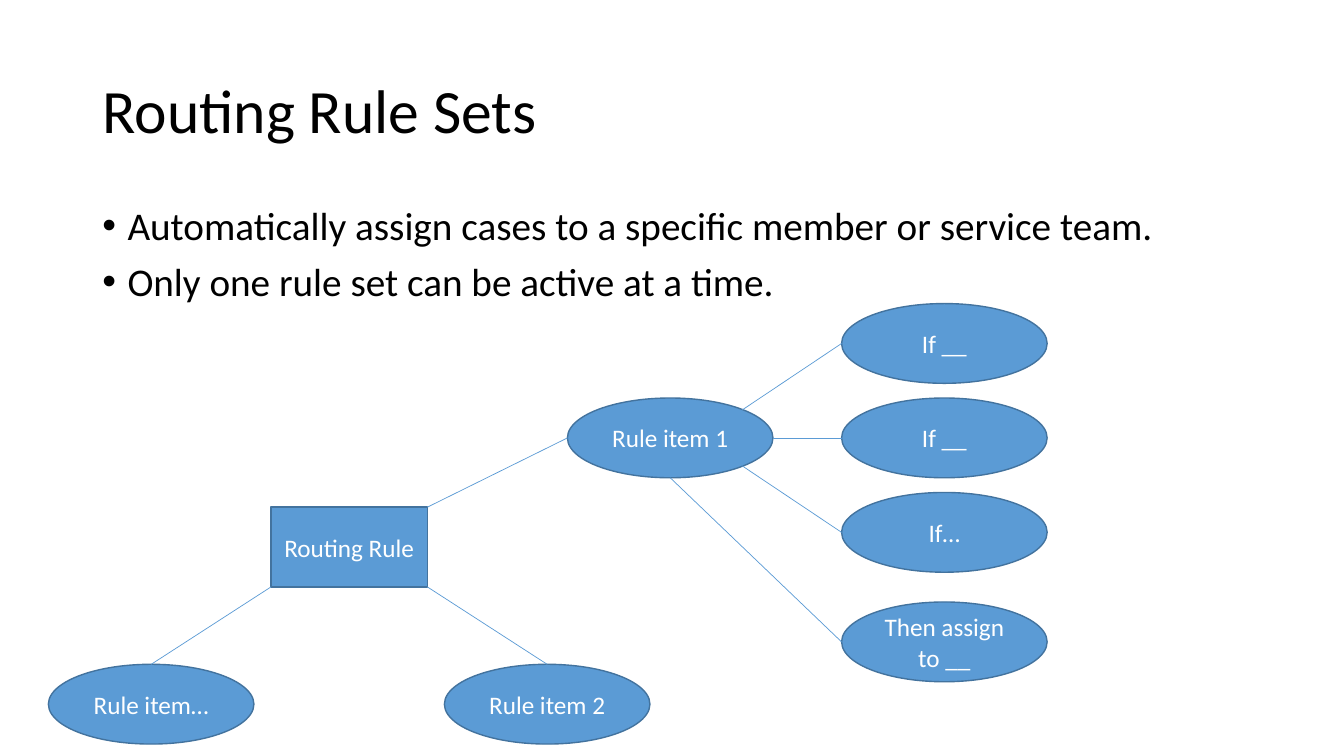
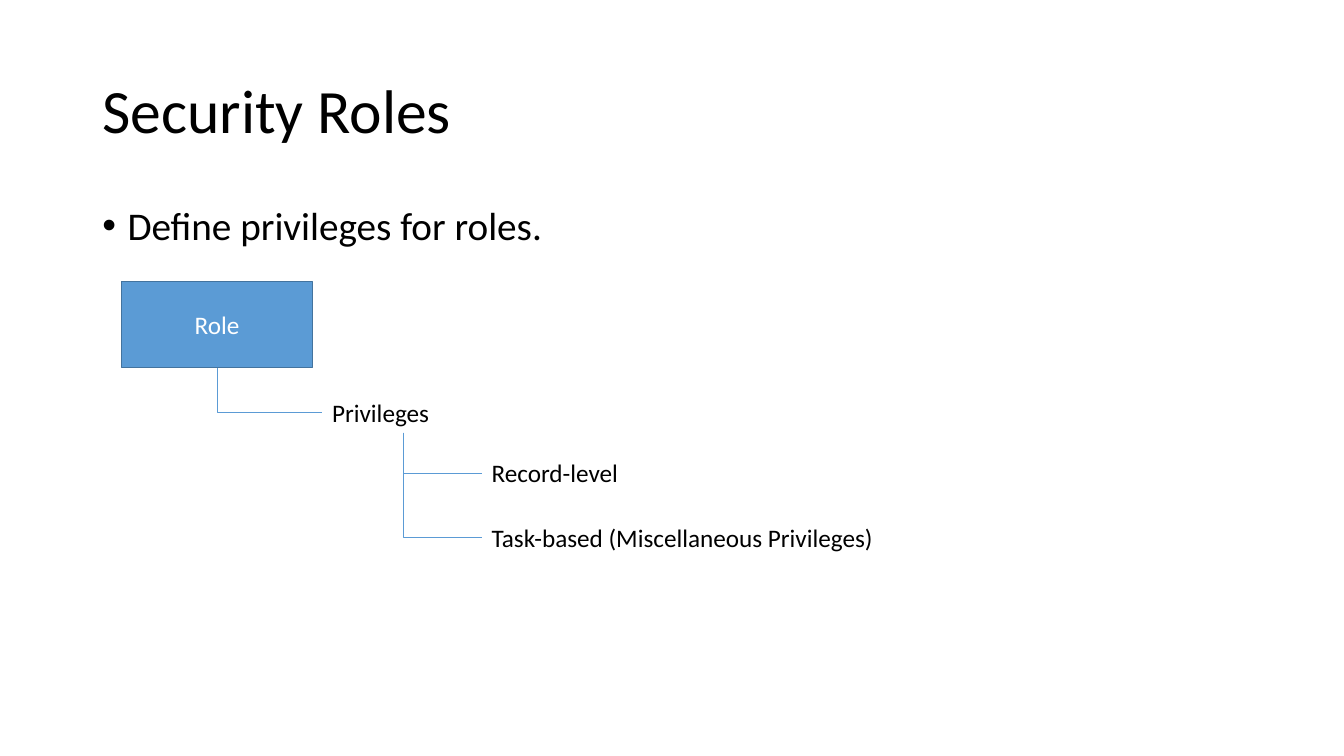
from lxml.etree import SubElement
from pptx import Presentation
from pptx.dml.color import RGBColor
from pptx.enum.shapes import MSO_CONNECTOR, MSO_SHAPE
from pptx.enum.text import MSO_ANCHOR, MSO_AUTO_SIZE, PP_ALIGN
from pptx.oxml.ns import qn
from pptx.util import Cm, Pt

FONT = "Calibri"
BLACK = RGBColor(0x00, 0x00, 0x00)
WHITE = RGBColor(0xFF, 0xFF, 0xFF)
BLUE = RGBColor(0x5B, 0x9B, 0xD5)
DARK_BLUE = RGBColor(0x43, 0x73, 0x9E)

# Shared frame, as left, top, width, height in cm
TITLE_BOX = (2.33, 1.01, 29.21, 3.68)
BODY_BOX = (2.33, 5.07, 29.21, 12.09)

# Connection sites of a rectangle
LEFT_SITE, BOTTOM_SITE = 1, 2


def cm_box(box):
    return [Cm(length) for length in box]


def write_text(frame, *lines, size=18, color=BLACK, align=PP_ALIGN.LEFT,
               anchor=MSO_ANCHOR.TOP, line_spacing=None, gap=0, bullet=None):
    """Fill a text frame with one paragraph per line."""
    frame.word_wrap = True
    frame.vertical_anchor = anchor
    for index, line in enumerate(lines):
        paragraph = frame.add_paragraph() if index else frame.paragraphs[0]
        paragraph.text = line
        paragraph.alignment = align
        if line_spacing:
            paragraph.line_spacing = line_spacing
        paragraph.space_before = Pt(gap if index else 0)
        if bullet:
            properties = paragraph._p.get_or_add_pPr()
            properties.set("marL", str(Cm(0.635)))
            properties.set("indent", str(-Cm(0.635)))
            SubElement(properties, qn("a:buFont"), typeface="Arial")
            SubElement(properties, qn("a:buChar"), char=bullet)
        font = paragraph.font
        font.name, font.size = FONT, Pt(size)
        font.color.rgb = color


def add_titled_slide(deck, title, *points):
    """Title and bullet list, shared by both slides."""
    slide = deck.slides.add_slide(deck.slide_layouts[5])
    heading = slide.shapes.title
    heading.left, heading.top, heading.width, heading.height = cm_box(TITLE_BOX)
    write_text(heading.text_frame, title, size=44, anchor=MSO_ANCHOR.MIDDLE,
               line_spacing=0.9)
    body = slide.shapes.add_textbox(*cm_box(BODY_BOX))
    write_text(body.text_frame, *points, size=28, line_spacing=0.9, gap=10,
               bullet="•")
    return slide


def add_node(slide, kind, text, box):
    node = slide.shapes.add_shape(kind, *cm_box(box))
    node.shadow.inherit = False
    node.fill.solid()
    node.fill.fore_color.rgb = BLUE
    node.line.color.rgb = DARK_BLUE
    node.line.width = Pt(1)
    write_text(node.text_frame, text, color=WHITE, align=PP_ALIGN.CENTER,
               anchor=MSO_ANCHOR.MIDDLE)
    return node


def add_label(slide, text, box):
    label = slide.shapes.add_textbox(*cm_box(box))
    write_text(label.text_frame, text)
    label.text_frame.auto_size = MSO_AUTO_SIZE.SHAPE_TO_FIT_TEXT
    return label


def add_line(slide, kind, start, end):
    line = slide.shapes.add_connector(kind, *start, *end)
    line.line.color.rgb = BLUE
    line.line.width = Pt(0.5)
    SubElement(line.element.spPr, qn("a:effectLst"))
    return line


def point_on(shape, across, down):
    """Point at a fraction of a shape's width and height."""
    return (round(shape.left + across * shape.width),
            round(shape.top + down * shape.height))


def add_elbow(slide, parent, child):
    """Line that goes down from the parent, then right to the child."""
    start, end = point_on(parent, 0.5, 1), point_on(child, 0, 0.5)
    elbow = add_line(slide, MSO_CONNECTOR.ELBOW, start, end)
    elbow.begin_connect(parent, BOTTOM_SITE)
    elbow.end_connect(child, LEFT_SITE)
    # A single bend that leaves downwards is a turned, flipped bentConnector2
    run, drop = end[0] - start[0], end[1] - start[1]
    elbow.left = (start[0] + end[0] - drop) // 2
    elbow.top = (start[1] + end[1] - run) // 2
    elbow.width, elbow.height = drop, run
    properties = elbow.element.spPr
    transform = properties.find(qn("a:xfrm"))
    transform.set("rot", str(270 * 60000))
    transform.set("flipH", "1")
    properties.find(qn("a:prstGeom")).set("prst", "bentConnector2")


def draw_rule_tree(slide, left, top):
    """Routing rule, its items, and the conditions of the first item."""
    item_width, node_height = 5.18, 2.01

    def add_oval(text, x, y):
        return add_node(slide, MSO_SHAPE.OVAL, text,
                        (left + x, top + y, item_width, node_height))

    def link(start, end):
        add_line(slide, MSO_CONNECTOR.STRAIGHT, start, end)

    rule = add_node(slide, MSO_SHAPE.RECTANGLE, "Routing Rule",
                    (left + 5.61, top + 5.13, 3.94, node_height))
    first_item = add_oval("Rule item 1", 13.08, 2.38)
    second_item = add_oval("Rule item 2", 9.98, 9.09)
    more_items = add_oval("Rule item…", 0, 9.09)
    link(point_on(rule, 1, 0), point_on(first_item, 0, 0.5))
    link(point_on(rule, 1, 1), point_on(second_item, 0.5, 0))
    link(point_on(rule, 0, 1), point_on(more_items, 0.5, 0))

    # Conditions and the action, each with its exit point on the first item
    outcomes = [
        ("If __", 0, (0.85, 0.15)),
        ("If __", 2.38, (1, 0.5)),
        ("If…", 4.76, (0.85, 0.85)),
        ("Then assign to __", 7.52, (0.5, 1)),
    ]
    for text, y, exit_point in outcomes:
        outcome = add_oval(text, 19.99, y)
        link(point_on(first_item, *exit_point), point_on(outcome, 0, 0.5))


def draw_role_tree(slide, left, top):
    """Role, its privileges and their two kinds."""
    label_height = 1.02
    role = add_node(slide, MSO_SHAPE.RECTANGLE, "Role", (left, top, 4.8, 2.18))
    privileges = add_label(slide, "Privileges",
                           (left + 5.05, top + 2.79, 4.11, label_height))
    add_elbow(slide, role, privileges)
    kinds = [("Record-level", 4.32, 3.86),
             ("Task-based (Miscellaneous Privileges)", 5.94, 12.78)]
    for text, y, width in kinds:
        kind = add_label(slide, text,
                         (left + 9.07, top + y, width, label_height))
        add_elbow(slide, privileges, kind)


def main():
    deck = Presentation()
    deck.slide_width, deck.slide_height = Cm(33.87), Cm(19.05)

    routing = add_titled_slide(
        deck, "Routing Rule Sets",
        "Automatically assign cases to a specific member or service team.",
        "Only one rule set can be active at a time.")
    draw_rule_tree(routing, left=1.22, top=7.65)

    security = add_titled_slide(deck, "Security Roles",
                                "Define privileges for roles.")
    draw_role_tree(security, left=3.07, top=7.09)

    deck.save("out.pptx")


if __name__ == "__main__":
    main()
